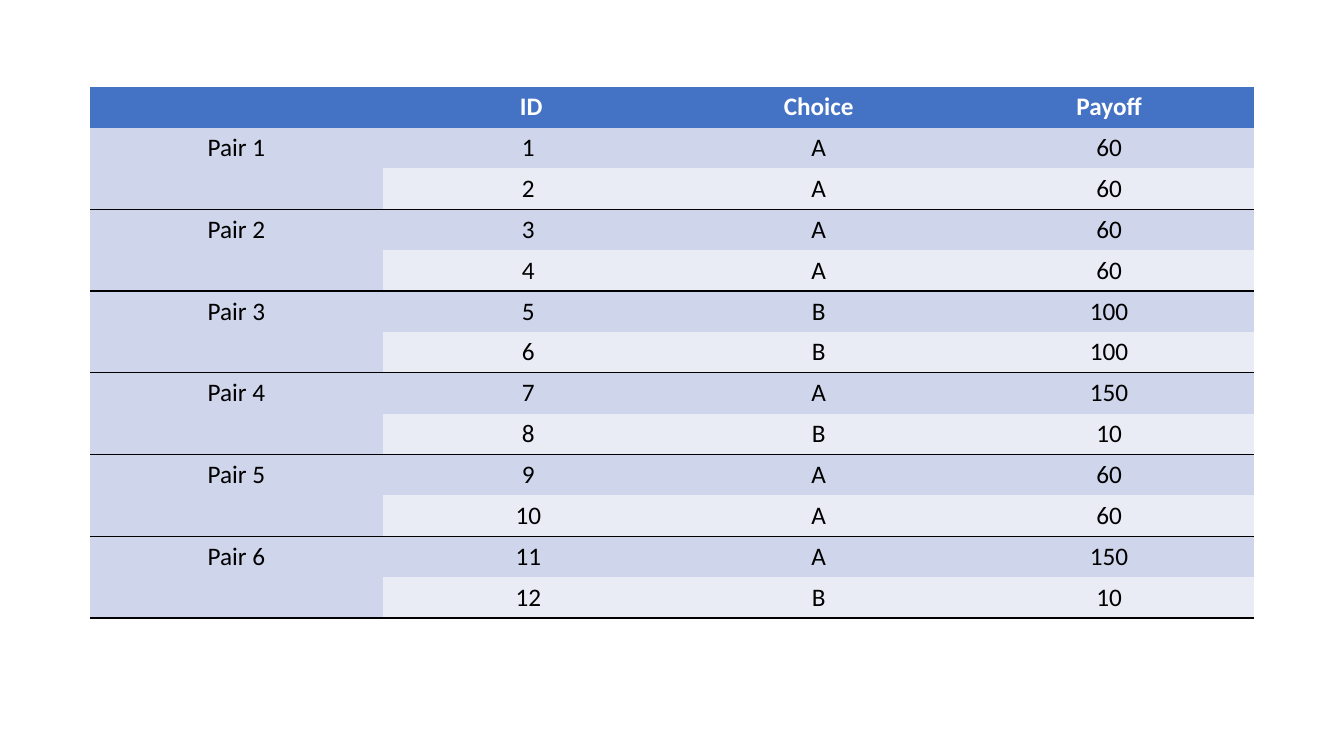
"""Build a slide with a table of choices and payoffs for six pairs."""
from lxml import etree
from pptx import Presentation
from pptx import util as u
from pptx.dml.color import RGBColor
from pptx.enum import text
from pptx.oxml.ns import qn

BLUE = RGBColor(0x44, 0x72, 0xC4)
BAND_DARK = RGBColor(0xCF, 0xD5, 0xEA)
BAND_LIGHT = RGBColor(0xE9, 0xEB, 0xF5)
WHITE = RGBColor(0xFF, 0xFF, 0xFF)
BLACK = RGBColor(0, 0, 0)

HEADERS = ["", " ID", "Choice", "Payoff"]
PAIRS = [
    [("A", 60), ("A", 60)],
    [("A", 60), ("A", 60)],
    [("B", 100), ("B", 100)],
    [("A", 150), ("B", 10)],
    [("A", 60), ("A", 60)],
    [("A", 150), ("B", 10)],
]
COLUMN_WIDTHS = [2.91, 2.88, 2.88, 2.88]
TABLE_HEIGHT = 5.27


class Deck:
    def __init__(self, prs, font="Calibri", size=18):
        self.font, self.size = font, size
        self.slide = prs.slides.add_slide(prs.slide_layouts[6])

    def table(self, left, top, widths, height, rows):
        frame = self.slide.shapes.add_table(
            rows, len(widths), u.Inches(left), u.Inches(top),
            u.Inches(sum(widths)), u.Inches(height))
        tbl = frame.table
        tbl.horz_banding = False
        for col, width in zip(tbl.columns, widths):
            col.width = u.Inches(width)
        for row in tbl.rows:
            row.height = u.Inches(height / rows)
        return tbl

    def cell(self, cell, words, fill, color=BLACK, bold=False, ruled=()):
        self.borders(cell, ruled)
        cell.fill.solid()
        cell.fill.fore_color.rgb = fill
        p = cell.text_frame.paragraphs[0]
        p.alignment = text.PP_ALIGN.CENTER
        if words:
            r = p.add_run()
            r.text = words
            r.font.name, r.font.size = self.font, u.Pt(self.size)
            r.font.bold, r.font.color.rgb = bold, color

    def borders(self, cell, ruled):
        tc_pr = cell._tc.get_or_add_tcPr()
        for side in "LRTB":
            ln = etree.SubElement(tc_pr, qn(f"a:ln{side}"), w=str(u.Pt(1)))
            if side in ruled:
                solid = etree.SubElement(ln, qn("a:solidFill"))
                etree.SubElement(solid, qn("a:srgbClr"), val=str(BLACK))
            else:
                etree.SubElement(ln, qn("a:noFill"))


def main():
    prs = Presentation()
    prs.slide_width, prs.slide_height = u.Inches(13.33), u.Inches(7.5)
    deck = Deck(prs)
    tbl = deck.table(0.89, 0.86, COLUMN_WIDTHS, TABLE_HEIGHT, 1 + 2 * len(PAIRS))

    for col, header in enumerate(HEADERS):
        deck.cell(tbl.cell(0, col), header, BLUE, WHITE, bold=True)

    for pair, members in enumerate(PAIRS):
        for member, (choice, payoff) in enumerate(members):
            person = 2 * pair + member + 1
            label = "" if member else f"Pair {pair + 1}"
            band = BAND_LIGHT if member else BAND_DARK
            ruled = "B" if member else "T" if pair else ""
            for col, words in enumerate([label, str(person), choice, str(payoff)]):
                fill = band if col else BAND_DARK
                edges = ruled if col or member else ruled + "B"
                deck.cell(tbl.cell(person, col), words, fill, ruled=edges)
        tbl.cell(2 * pair + 1, 0).merge(tbl.cell(2 * pair + 2, 0))

    prs.save("out.pptx")


if __name__ == "__main__":
    main()
